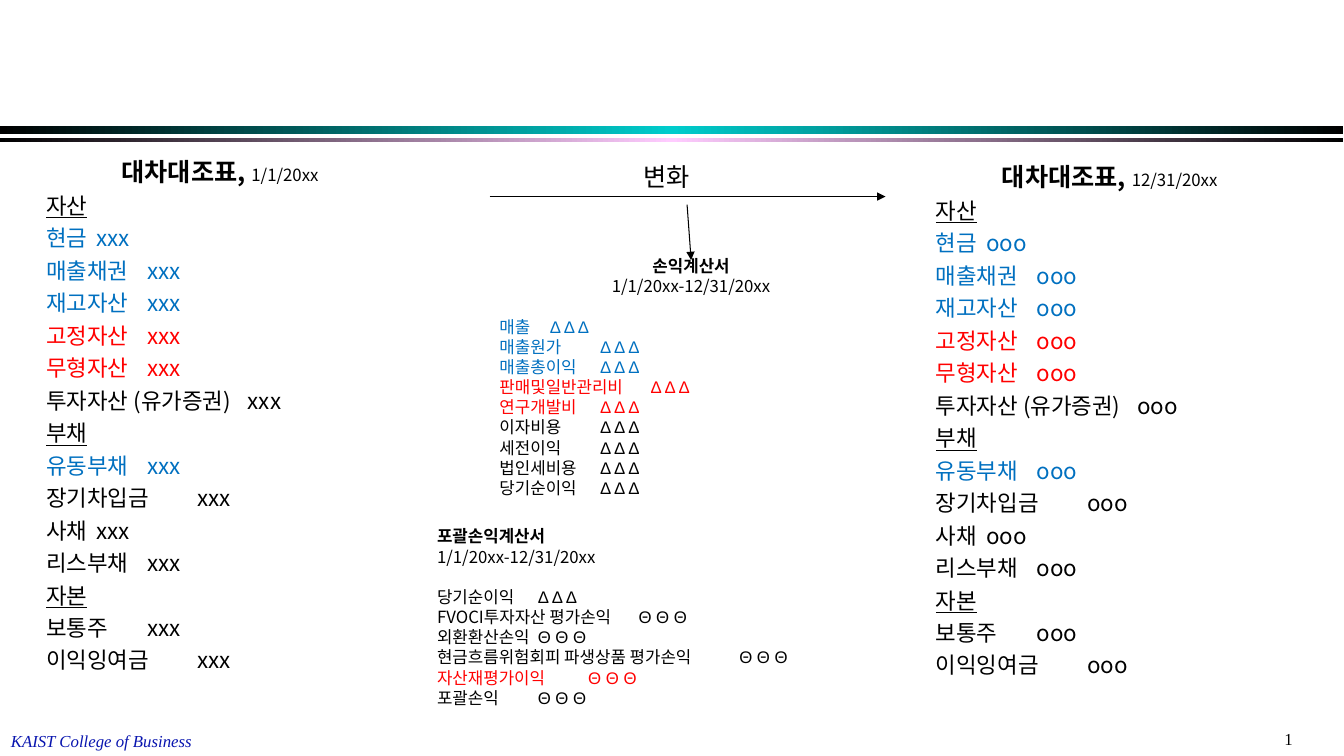
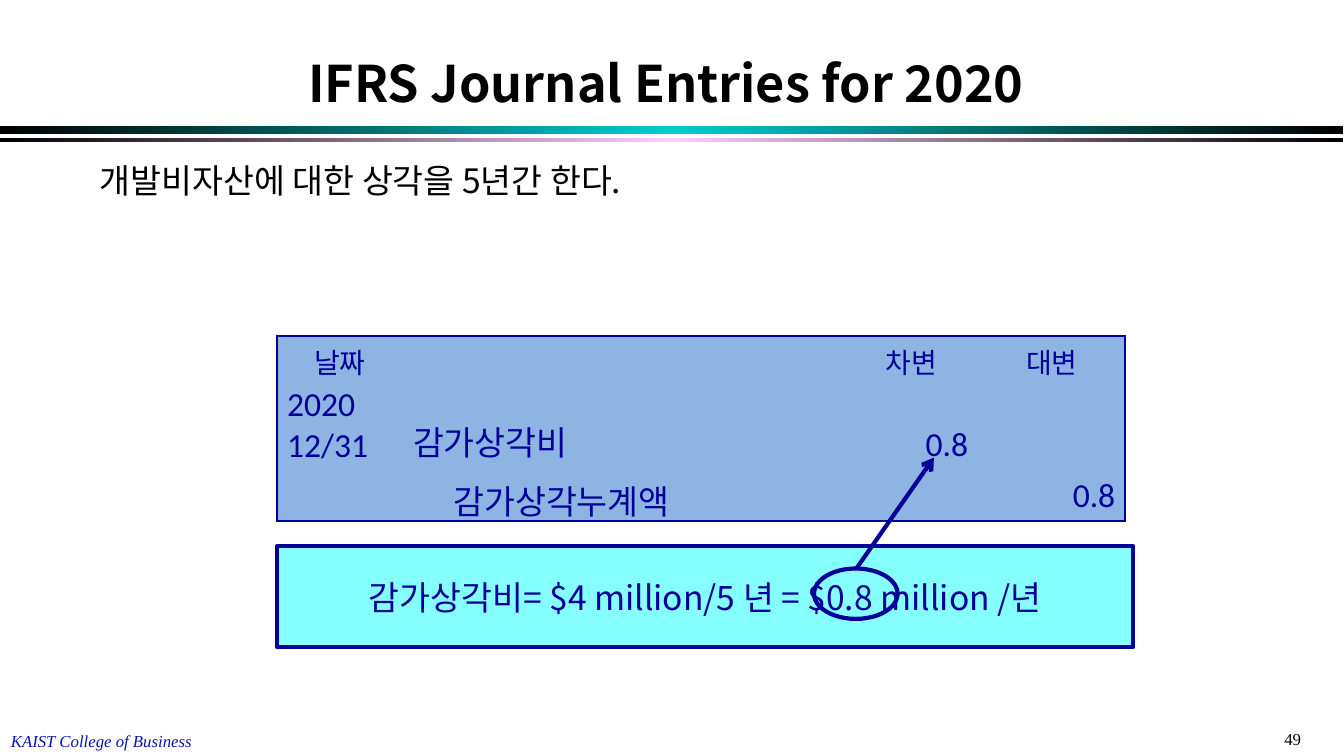
from copy import deepcopy

from lxml.etree import SubElement
from pptx import Presentation
from pptx.dml.color import RGBColor
from pptx.enum.shapes import MSO_CONNECTOR, MSO_SHAPE
from pptx.enum.text import MSO_ANCHOR, MSO_AUTO_SIZE, PP_ALIGN
from pptx.oxml.ns import qn
from pptx.util import Pt

PX = 9144  # 100 px to the inch

BLACK = RGBColor(0x00, 0x00, 0x00)
BLUE = RGBColor(0x00, 0x70, 0xC0)
RED = RGBColor(0xFF, 0x00, 0x00)
NAVY = RGBColor(0x00, 0x00, 0x99)
FOOTER_BLUE = RGBColor(0x09, 0x15, 0xAF)
TEAL = RGBColor(0x00, 0xCC, 0xCC)
PINK = RGBColor(0xFF, 0xCC, 0xFF)
CYAN = RGBColor(0x85, 0xFF, 0xFF)
TABLE_BLUE = RGBColor(0x8E, 0xB4, 0xE3)

KOREAN = "Noto Sans CJK KR"
SYMBOLS = "Arial"
SERIF = "Times New Roman"
TABLE_FONT = "Calibri"
CENTER, RIGHT = PP_ALIGN.CENTER, PP_ALIGN.RIGHT
TOP, MIDDLE, BOTTOM = MSO_ANCHOR.TOP, MSO_ANCHOR.MIDDLE, MSO_ANCHOR.BOTTOM

# Shared parts: (top, height, middle colour) of each band
BANDS = [(125, 8, TEAL), (137, 4, PINK)]
FOOTER = "KAIST College of Business"

# Slide 1: (date, value, box)
BALANCE_SHEETS = [
    ("1/1/20xx", "xxx", (36, 150, 365, 575)),
    ("12/31/20xx", "ooo", (919, 155, 365, 575)),
]
BALANCE_TITLE = "대차대조표, "
# Section: its accounts with their colours
BALANCE_SECTIONS = {
    "자산": [("현금", BLUE), ("매출채권", BLUE), ("재고자산", BLUE),
           ("고정자산", RED), ("무형자산", RED), ("투자자산 (유가증권)", BLACK)],
    "부채": [("유동부채", BLUE), ("장기차입금", BLACK), ("사채", BLACK),
           ("리스부채", BLACK)],
    "자본": [("보통주", BLACK), ("이익잉여금", BLACK)],
}
CHANGE = "변화"
PERIOD = "1/1/20xx-12/31/20xx"
DELTA, THETA = "Δ Δ Δ", "Θ Θ Θ"
# Statement rows: (label, value, colour, tab position)
STATEMENTS = [
    ("손익계산서", CENTER, (486, 249, 400, 270), [
        ("매출", DELTA, BLUE, 300),
        ("매출원가", DELTA, BLUE, 300),
        ("매출총이익", DELTA, BLUE, 300),
        ("판매및일반관리비", DELTA, RED, 300),
        ("연구개발비", DELTA, RED, 300),
        ("이자비용", DELTA, BLACK, 300),
        ("세전이익", DELTA, BLACK, 300),
        ("법인세비용", DELTA, BLACK, 300),
        ("당기순이익", DELTA, BLACK, 300),
    ]),
    ("포괄손익계산서", None, (424, 517, 494, 192), [
        ("당기순이익", DELTA, BLACK, 409),
        ("FVOCI투자자산 평가손익", THETA, BLACK, 409),
        ("외환환산손익", THETA, BLACK, 309),
        ("현금흐름위험회피 파생상품 평가손익", THETA, BLACK, 409),
        ("자산재평가이익", THETA, RED, 409),
        ("포괄손익", THETA, BLACK, 409),
    ]),
]
CHANGE_ARROWS = [(486, 195, 879, 195), (682, 203, 686, 258)]

# Slide 2
ENTRY_TITLE = "IFRS Journal Entries for 2020"
ENTRY_NOTE = "개발비자산에 대한 상각을 5년간 한다."
FORMULA = "감가상각비= $4 million/5 년 = $0.8 million /년"
ENTRY_COLUMNS = [125, 438, 133, 146]
ENTRY_ROWS = [44, 90, 50]
# (row, column): (lines, anchor, format)
ENTRY_CELLS = {
    (0, 0): (["날짜"], BOTTOM, {"size": 20, "align": CENTER}),
    (0, 2): (["차변"], BOTTOM, {"size": 20, "align": CENTER}),
    (0, 3): (["대변"], BOTTOM, {"size": 20, "align": CENTER}),
    (1, 0): (["2020", "12/31"], TOP, {}),
    (1, 1): (["감가상각비"], BOTTOM, {}),
    (1, 2): (["0.8"], BOTTOM, {"align": RIGHT}),
    (2, 1): (["감가상각누계액"], TOP, {"indent": 40}),
    (2, 3): (["0.8"], TOP, {"align": RIGHT}),
}


def place(*lengths):
    return [length * PX for length in lengths]


def write(frame, *runs, align=None, before=0, tab=None, indent=0, leading=None,
          **shared):
    """Add one paragraph; a run is a text or a (text, format) pair."""
    paragraph = frame.paragraphs[0]
    if paragraph.runs:
        paragraph = frame.add_paragraph()
    props = paragraph._p.get_or_add_pPr()
    props.set("marL", str(indent * PX))
    props.set("indent", "0")
    SubElement(props, qn("a:buNone"))
    if tab:
        stops = SubElement(props, qn("a:tabLst"))
        SubElement(stops, qn("a:tab"), pos=str(tab * PX), algn="l")
    paragraph.alignment = align
    paragraph.space_before = Pt(before)
    if leading:
        paragraph.line_spacing = Pt(leading)
    for item in runs:
        text, own = (item, {}) if isinstance(item, str) else item
        look = {"size": 12, "color": BLACK, "font": KOREAN, **shared, **own}
        run = paragraph.add_run()
        run.text = text
        run.font.size = Pt(look["size"])
        run.font.color.rgb = look["color"]
        run.font.bold = look.get("bold", False)
        run.font.italic = look.get("italic", False)
        run.font.underline = look.get("underline", False)
        run.font.name = look["font"]
        SubElement(run._r.get_or_add_rPr(), qn("a:ea"), typeface=KOREAN)


def text_box(slide, box, wrap=True):
    frame = slide.shapes.add_textbox(*place(*box)).text_frame
    frame.word_wrap = wrap
    return frame


def fill_placeholder(placeholder, box, anchor=TOP):
    (placeholder.left, placeholder.top,
     placeholder.width, placeholder.height) = place(*box)
    frame = placeholder.text_frame
    frame.auto_size = MSO_AUTO_SIZE.NONE
    frame.vertical_anchor = anchor
    return frame


def add_figure(slide, preset, box, fill=None, line=None):
    figure = slide.shapes.add_shape(preset, *place(*box))
    figure.shadow.inherit = False
    if fill is None:
        figure.fill.background()
    else:
        figure.fill.solid()
        figure.fill.fore_color.rgb = fill
    if line is None:
        figure.line.fill.background()
    else:
        figure.line.color.rgb = line
        figure.line.width = Pt(3)
    return figure


def add_arrow(slide, ends, color, width, head):
    arrow = slide.shapes.add_connector(MSO_CONNECTOR.STRAIGHT, *place(*ends))
    arrow.line.color.rgb = color
    arrow.line.width = Pt(width)
    SubElement(arrow.line._get_or_add_ln(), qn("a:tailEnd"), type=head)
    SubElement(arrow._element.spPr, qn("a:effectLst"))


def add_band(slide, top, height, middle):
    band = add_figure(slide, MSO_SHAPE.RECTANGLE, (0, top, 1333, height))
    band.fill.gradient()
    band.fill.gradient_angle = 0
    stops = band._element.spPr.find(qn("a:gradFill")).find(qn("a:gsLst"))
    stops.append(deepcopy(stops[0]))
    colors = (BLACK, middle, BLACK)
    for i, stop in enumerate(band.fill.gradient_stops):
        stop.position = i / 2
        stop.color.rgb = colors[i]


def new_slide(deck, layout, number):
    slide = deck.slides.add_slide(deck.slide_layouts[layout])
    for band in BANDS:
        add_band(slide, *band)
    write(text_box(slide, (1265, 718, 78, 30)), number, font=SERIF)
    write(text_box(slide, (1, 720, 200, 30), wrap=False), FOOTER,
          font=SERIF, color=FOOTER_BLUE, italic=True)
    return slide


def write_balance_sheet(frame, date, value):
    write(frame, (BALANCE_TITLE, {"size": 18, "bold": True}), date,
          align=CENTER, leading=21.6)
    row = {"size": 16, "before": 4, "leading": 19.2}
    for section, accounts in BALANCE_SECTIONS.items():
        write(frame, section, underline=True, **row)
        for account, color in accounts:
            write(frame, f"{account}\t{value}", color=color, tab=300, **row)


def write_statement(frame, title, align, rows):
    leading = 14.4
    write(frame, title, bold=True, align=align, leading=leading)
    write(frame, PERIOD, align=align, leading=leading)
    for i, (label, value, color, tab) in enumerate(rows):
        write(frame, label + "\t", (value, {"font": SYMBOLS}), color=color,
              tab=tab, before=0 if i else leading, leading=leading)


def set_borders(cell, outer_edges):
    props = cell._tc.get_or_add_tcPr()
    for i, (side, outer) in enumerate(zip("LRTB", outer_edges)):
        edge = SubElement(props, qn(f"a:ln{side}"), w=str(Pt(1.5)))
        if outer:
            paint = SubElement(edge, qn("a:solidFill"))
            SubElement(paint, qn("a:srgbClr"), val=str(NAVY))
        else:
            SubElement(edge, qn("a:noFill"))
        props.insert(i, edge)


def add_entry_table(slide):
    last_row, last_column = len(ENTRY_ROWS) - 1, len(ENTRY_COLUMNS) - 1
    entry = slide.shapes.add_table(
        last_row + 1, last_column + 1,
        *place(275, 333, sum(ENTRY_COLUMNS), sum(ENTRY_ROWS))).table
    entry.first_row = entry.horz_banding = False
    for column, width in zip(entry.columns, ENTRY_COLUMNS):
        column.width = width * PX
    for r, height in enumerate(ENTRY_ROWS):
        entry.rows[r].height = height * PX
        for c in range(last_column + 1):
            cell = entry.cell(r, c)
            cell.fill.solid()
            cell.fill.fore_color.rgb = TABLE_BLUE
            set_borders(cell, (c == 0, c == last_column, r == 0, r == last_row))
            lines, anchor, look = ENTRY_CELLS.get((r, c), ([], TOP, {}))
            cell.vertical_anchor = anchor
            for line in lines:
                write(cell.text_frame, line,
                      **{"size": 24, "color": NAVY, "font": TABLE_FONT, **look})


def build_statements(deck):
    slide = new_slide(deck, 3, "1")
    title, *sheets = slide.placeholders
    title._element.getparent().remove(title._element)
    for sheet, (date, value, box) in zip(sheets, BALANCE_SHEETS):
        write_balance_sheet(fill_placeholder(sheet, box), date, value)
    write(text_box(slide, (629, 155, 68, 40), wrap=False), CHANGE,
          size=18, leading=21.6)
    for title, align, box, rows in STATEMENTS:
        write_statement(text_box(slide, box), title, align, rows)
    for ends in CHANGE_ARROWS:
        add_arrow(slide, ends, BLACK, 0.75, "triangle")


def build_journal_entry(deck):
    slide = new_slide(deck, 1, "49")
    title, note = slide.placeholders
    write(fill_placeholder(title, (89, 25, 1144, 92), BOTTOM), ENTRY_TITLE,
          size=36, bold=True, align=CENTER, leading=43.2)
    write(fill_placeholder(note, (89, 154, 1144, 575)), ENTRY_NOTE,
          size=24, leading=28.8)
    formula = add_figure(slide, MSO_SHAPE.RECTANGLE, (275, 542, 850, 100),
                         CYAN, NAVY).text_frame
    formula.word_wrap = True
    formula.vertical_anchor = MIDDLE
    write(formula, FORMULA, size=24, color=NAVY, align=CENTER, leading=28.8)
    add_figure(slide, MSO_SHAPE.OVAL, (808, 564, 83, 50), line=NAVY)
    add_entry_table(slide)
    add_arrow(slide, (850, 564, 927, 454), NAVY, 3, "arrow")


def main():
    deck = Presentation()
    deck.slide_width, deck.slide_height = place(1334, 750)
    build_statements(deck)
    build_journal_entry(deck)
    deck.save("out.pptx")


if __name__ == "__main__":
    main()
